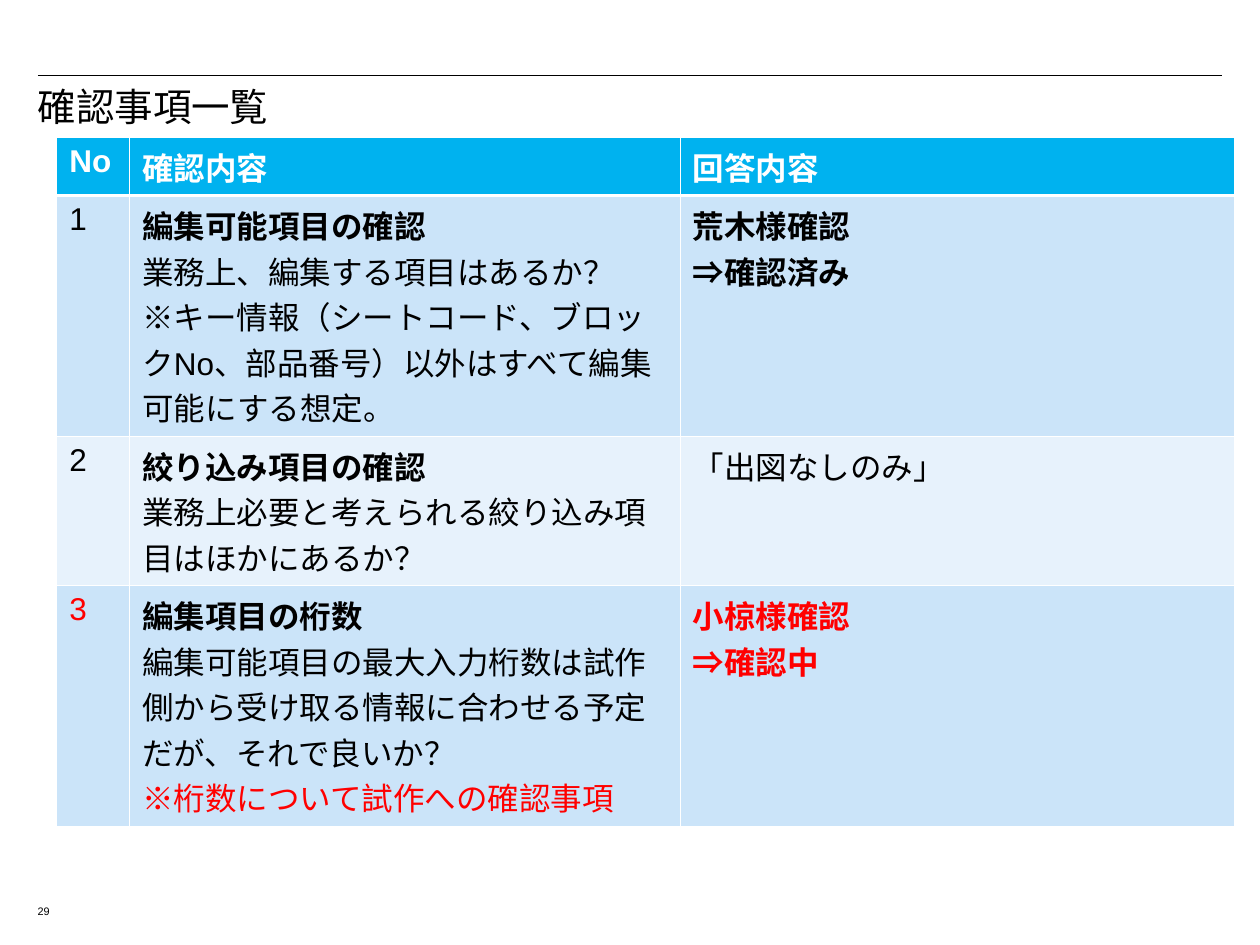
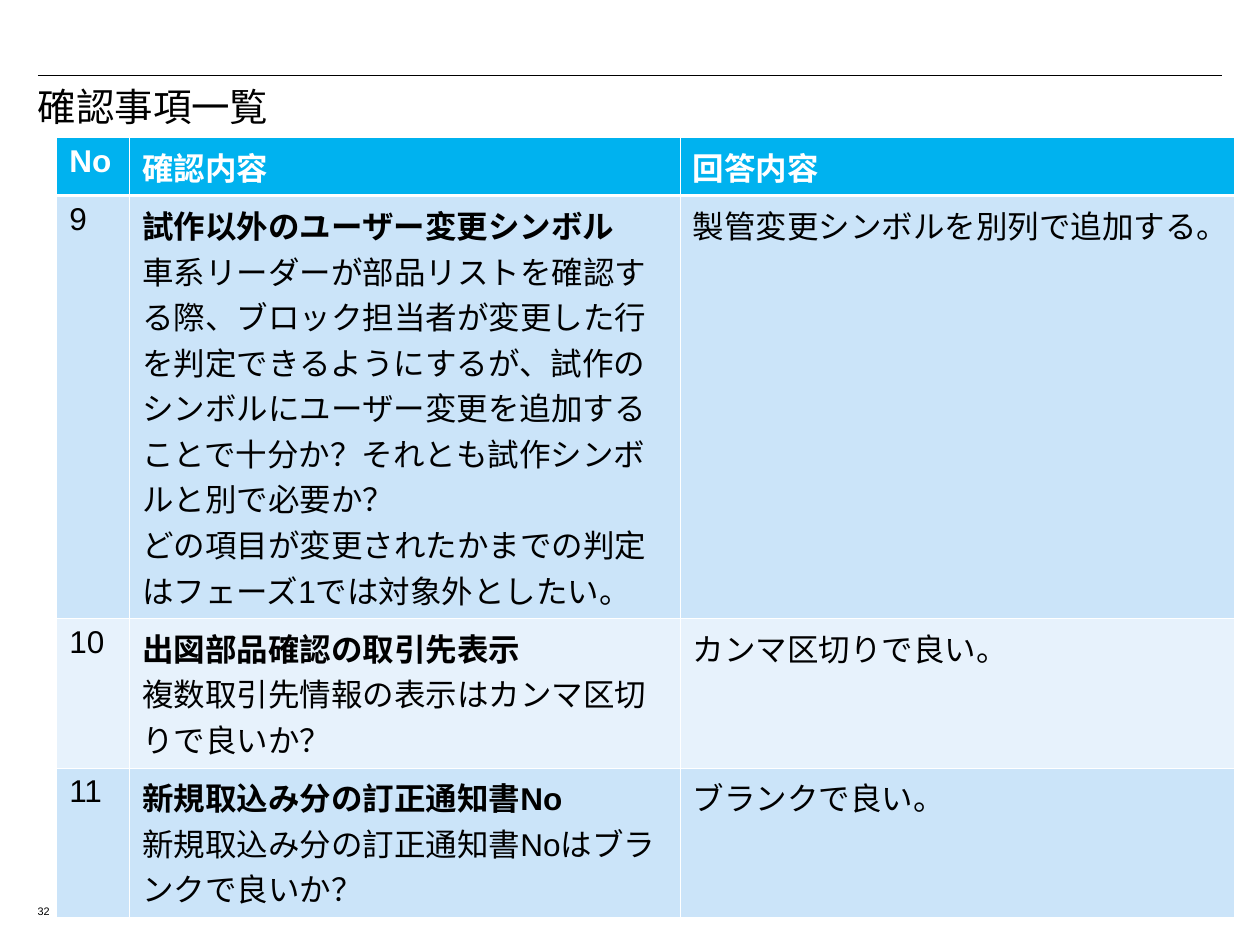
from lxml import etree
from pptx import Presentation
from pptx.dml.color import RGBColor
from pptx.enum.shapes import MSO_CONNECTOR
from pptx.enum.text import MSO_ANCHOR, MSO_AUTO_SIZE, PP_ALIGN
from pptx.oxml.ns import qn
from pptx.util import Inches, Pt

STRAIGHT = MSO_CONNECTOR.STRAIGHT
TOP = MSO_ANCHOR.TOP
NO_FIT = MSO_AUTO_SIZE.NONE
LEFT = PP_ALIGN.LEFT

BLACK = RGBColor(0x00, 0x00, 0x00)
WHITE = RGBColor(0xFF, 0xFF, 0xFF)
RED = RGBColor(0xFF, 0x00, 0x00)
HEADER_BLUE = RGBColor(0x00, 0xB2, 0xEF)
BANDS = (RGBColor(0xCB, 0xE4, 0xF9), RGBColor(0xE7, 0xF2, 0xFC))

FONT = "Arial"
TITLE_ONLY = 5
TITLE = "確認事項一覧"
HEADINGS = ("No", "確認内容", "回答内容")
COLUMN_WIDTHS = (0.58, 4.37, 4.4)
HEADER_HEIGHT = 0.4
THIN, THICK = 0.45, 1.47

TITLE_BOX = (0.2, 0.65, 9.65, 0.57)
TABLE_BOX = (0.45, 1.09, sum(COLUMN_WIDTHS))
NUMBER_BOX = (0.2, 7.15, 0.4, 0.2)
RULE = (0.3, 0.6, 9.7, 0.6)


def plain(text, color=BLACK):
    """Return a line of regular text."""
    return text, False, color


def strong(text, color=BLACK):
    """Return a line of bold text."""
    return text, True, color


PAGES = [
    ("29", [
        (1.6, [plain("1")],
         [strong("編集可能項目の確認"),
          plain("業務上、編集する項目はあるか？"),
          plain("※キー情報（シートコード、ブロックNo、部品番号）以外はすべて編集可能にする想定。")],
         [strong("荒木様確認"), strong("⇒確認済み")]),
        (1, [plain("2")],
         [strong("絞り込み項目の確認"),
          plain("業務上必要と考えられる絞り込み項目はほかにあるか？")],
         [plain("「出図なしのみ」")]),
        (1.6, [plain("3", RED)],
         [strong("編集項目の桁数"),
          plain("編集可能項目の最大入力桁数は試作側から受け取る情報に合わせる予定だが、それで良いか？"),
          plain("※桁数について試作への確認事項", RED)],
         [strong("小椋様確認", RED), strong("⇒確認中", RED)]),
    ]),
    ("32", [
        (2.8, [plain("9")],
         [strong("試作以外のユーザー変更シンボル"),
          plain("車系リーダーが部品リストを確認する際、ブロック担当者が変更した行を判定できるようにするが、"
                "試作のシンボルにユーザー変更を追加することで十分か？それとも試作シンボルと別で必要か？"),
          plain("どの項目が変更されたかまでの判定はフェーズ1では対象外としたい。")],
         [plain("製管変更シンボルを別列で追加する。")]),
        (1, [plain("10")],
         [strong("出図部品確認の取引先表示"),
          plain("複数取引先情報の表示はカンマ区切りで良いか？")],
         [plain("カンマ区切りで良い。")]),
        (1, [plain("11")],
         [strong("新規取込み分の訂正通知書No"),
          plain("新規取込み分の訂正通知書Noはブランクで良いか？")],
         [plain("ブランクで良い。")]),
    ]),
]


def write_lines(frame, lines, size, spacing=None):
    """Fill a text frame with one left-aligned paragraph per line."""
    for index, (text, bold, color) in enumerate(lines):
        paragraph = frame.paragraphs[0] if index == 0 else frame.add_paragraph()
        paragraph.alignment = LEFT
        if spacing:
            paragraph.line_spacing = spacing
        run = paragraph.add_run()
        run.text = text
        run.font.name = FONT
        run.font.size = Pt(size)
        run.font.bold = bold
        run.font.color.rgb = color


def set_borders(cell, top, bottom):
    """Draw white borders, with the given top and bottom widths in points."""
    properties = cell._tc.get_or_add_tcPr()
    edges = (("a:lnL", THIN), ("a:lnR", THIN), ("a:lnT", top), ("a:lnB", bottom))
    for position, (tag, width) in enumerate(edges):
        line = etree.Element(qn(tag), w=str(Pt(width)))
        fill = etree.SubElement(line, qn("a:solidFill"))
        etree.SubElement(fill, qn("a:srgbClr"), val=str(WHITE))
        properties.insert(position, line)


def add_rule(slide, ends):
    """Draw the thin line above the title."""
    rule = slide.shapes.add_connector(STRAIGHT, *map(Inches, ends))
    rule.line.color.rgb = BLACK
    rule.line.width = Pt(0.74)
    etree.SubElement(rule._element.spPr, qn("a:effectLst"))


def add_title(slide, box):
    """Place the slide title in its placeholder."""
    title = slide.shapes.title
    title.left, title.top, title.width, title.height = map(Inches, box)
    frame = title.text_frame
    frame.auto_size = NO_FIT
    frame.vertical_anchor = TOP
    write_lines(frame, [plain(TITLE)], 22, 0.9)


def add_page_number(slide, box, number):
    """Place the page number at the lower left."""
    frame = slide.shapes.add_textbox(*map(Inches, box)).text_frame
    frame.word_wrap = True
    write_lines(frame, [plain(number)], 6.2, 0.8)


def add_checklist(slide, box, items):
    """Build the table of questions and answers."""
    left, top, width = box
    header = (HEADER_HEIGHT, *([strong(heading, WHITE)] for heading in HEADINGS))
    rows = [header, *items]
    height = sum(row[0] for row in rows)
    table = slide.shapes.add_table(
        len(rows), len(HEADINGS),
        Inches(left), Inches(top), Inches(width), Inches(height)).table
    for column, column_width in zip(table.columns, COLUMN_WIDTHS):
        column.width = Inches(column_width)
    for index, (row_height, *entries) in enumerate(rows):
        table.rows[index].height = Inches(row_height)
        for column, lines in enumerate(entries):
            cell = table.cell(index, column)
            cell.fill.solid()
            cell.fill.fore_color.rgb = BANDS[(index - 1) % 2] if index else HEADER_BLUE
            set_borders(cell, THICK if index == 1 else THIN, THIN if index else THICK)
            write_lines(cell.text_frame, lines, 18)


def add_checklist_slide(deck, number, items):
    """Add one slide of the checklist."""
    slide = deck.slides.add_slide(deck.slide_layouts[TITLE_ONLY])
    add_rule(slide, RULE)
    add_title(slide, TITLE_BOX)
    add_checklist(slide, TABLE_BOX, items)
    add_page_number(slide, NUMBER_BOX, number)


def main():
    """Build and save the deck."""
    deck = Presentation()
    deck.slide_width, deck.slide_height = Inches(10), Inches(7.5)
    for number, items in PAGES:
        add_checklist_slide(deck, number, items)
    deck.save("out.pptx")


main()
